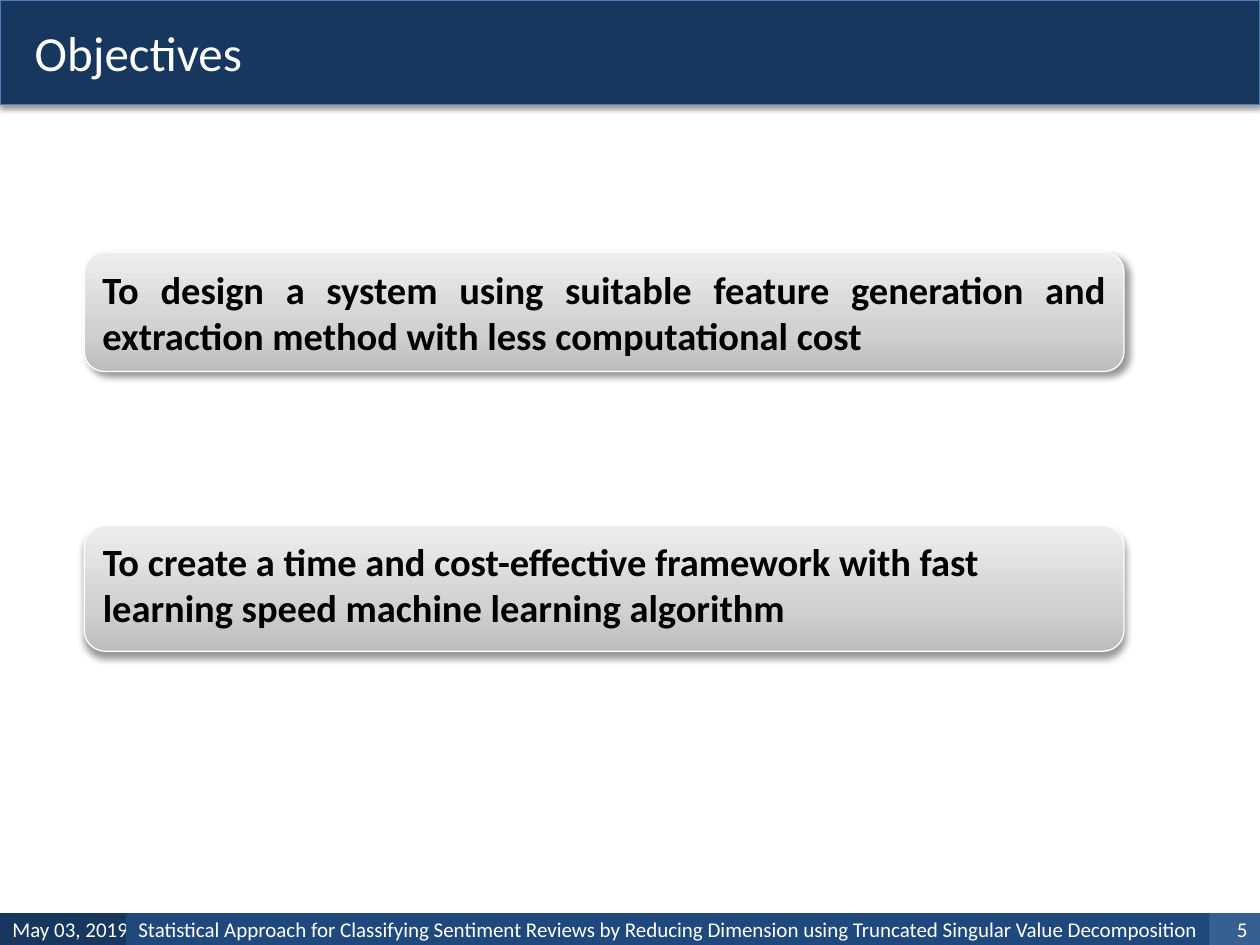
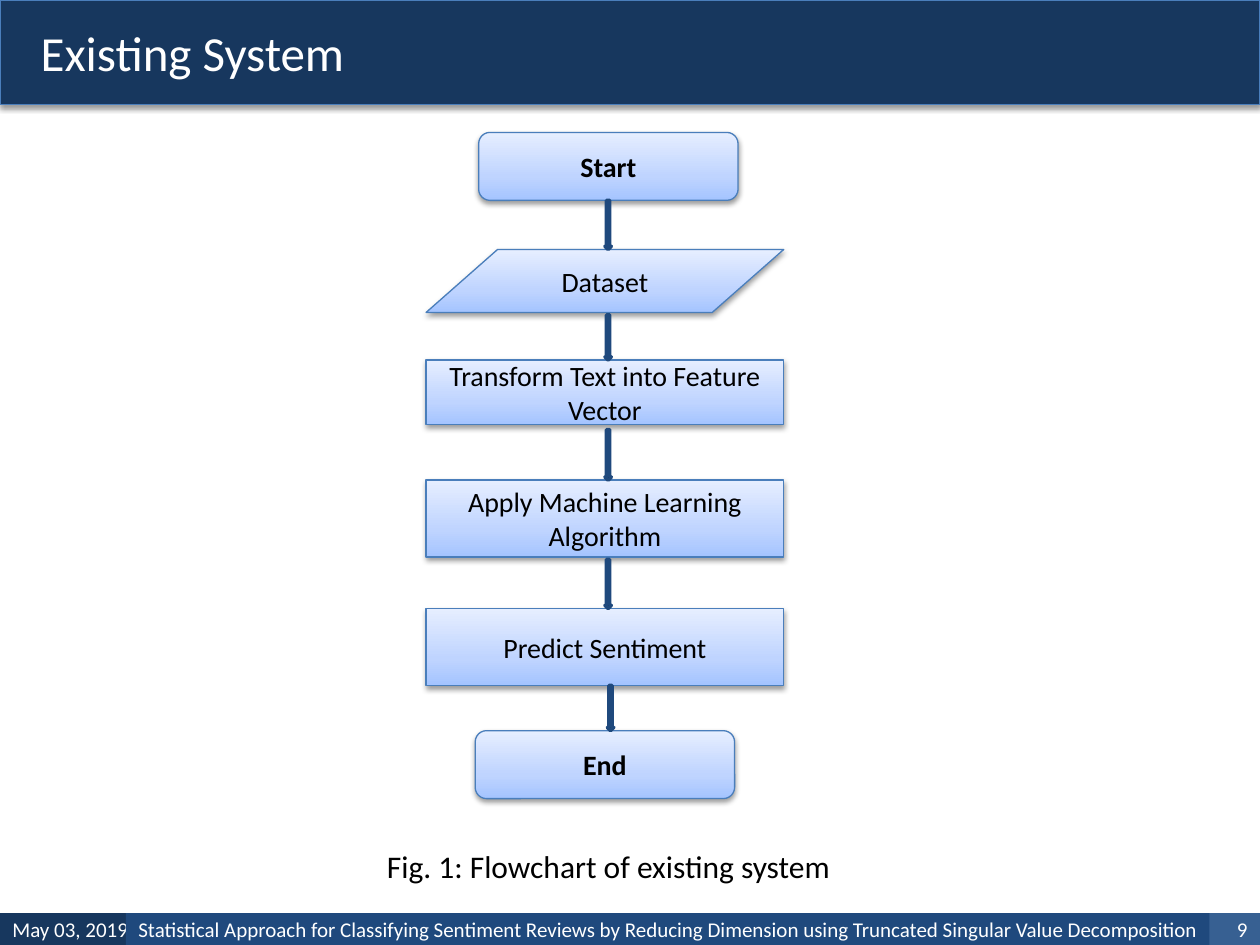
from copy import deepcopy

from lxml import etree
from pptx import Presentation
from pptx.dml.color import RGBColor
from pptx.enum.shapes import MSO_SHAPE
from pptx.enum.text import MSO_ANCHOR, MSO_AUTO_SIZE, PP_ALIGN
from pptx.oxml.ns import qn
from pptx.util import Cm, Pt

RECT, ROUND = MSO_SHAPE.RECTANGLE, MSO_SHAPE.ROUNDED_RECTANGLE
DATA, ARROW = MSO_SHAPE.FLOWCHART_DATA, MSO_SHAPE.DOWN_ARROW
TOP, MIDDLE = MSO_ANCHOR.TOP, MSO_ANCHOR.MIDDLE
LEFT, CENTER, RIGHT, JUSTIFY = (PP_ALIGN.LEFT, PP_ALIGN.CENTER,
                                PP_ALIGN.RIGHT, PP_ALIGN.JUSTIFY)
TITLE_ONLY = 5

COLORS = {"navy": "17375E", "blue": "1F497D", "steel": "376092",
          "edge": "4A7EBB", "white": "FFFFFF", "black": "000000"}
GRAY_STOPS = ((0, "BDBDBD"), (0.35, "D1D1D1"), (1, "EEEEEE"))
BLUE_STOPS = ((0, "A4C4FF"), (0.35, "BFD4FF"), (1, "E6EEFF"))

# Shadows: opacity %, blur pt, distance pt, direction in degrees
SOFT = (38, 3.1, 1.6, 90)
DEEP_DIAGONAL = (40, 4, 3, 45)
DEEP_DOWN = (40, 4, 3, 90)

FRAME = {"word_wrap": True, "auto_size": MSO_AUTO_SIZE.NONE,
         "vertical_anchor": MIDDLE, "margin_left": Cm(0.25),
         "margin_right": Cm(0.25), "margin_top": Cm(0.13),
         "margin_bottom": Cm(0.13)}
FONT = {"name": "Calibri", "bold": False}

SLIDE_W, SLIDE_H = 25.4, 19.05
BAND_H, FOOTER_H = 2.11, 0.64
DATE = "May 03, 2019"
TOPIC = ("Statistical Approach for Classifying Sentiment Reviews by Reducing "
         "Dimension using Truncated Singular Value Decomposition")


def rgb(name):
    return RGBColor.from_string(COLORS[name])


def place(sp, left, top, width, height):
    box = {"left": left, "top": top, "width": width, "height": height}
    for key, value in box.items():
        setattr(sp, key, Cm(value))


def write(sp, text, size, color="black", align=LEFT, bold=False, **frame):
    tf = sp.text_frame
    for key, value in {**FRAME, **frame}.items():
        setattr(tf, key, value)
    p = tf.paragraphs[0]
    p.alignment = align
    r = p.add_run()
    r.text = text
    for key, value in {**FONT, "size": Pt(size), "bold": bold}.items():
        setattr(r.font, key, value)
    r.font.color.rgb = rgb(color)


def paint(sp, fill, line=None, weight=0.75, shadow=None):
    """Fill is a colour name or gradient stops running from bottom to top."""
    if isinstance(fill, str):
        sp.fill.solid()
        sp.fill.fore_color.rgb = rgb(fill)
    else:
        sp.fill.gradient()
        sp.fill.gradient_angle = 90
        gs = sp._element.spPr.find(".//" + qn("a:gs"))
        gs.addnext(deepcopy(gs))
        for stop, (position, color) in zip(sp.fill.gradient_stops, fill):
            stop.position = position
            stop.color.rgb = RGBColor.from_string(color)
    if line:
        sp.line.color.rgb = rgb(line)
        sp.line.width = Pt(weight)
    else:
        sp.line.fill.background()
    sp.shadow.inherit = False
    if shadow:
        add_shadow(sp, *shadow)


def add_shadow(sp, opacity, blur, distance, direction):
    effects = sp._element.spPr.find(qn("a:effectLst"))
    outer = etree.SubElement(
        effects, qn("a:outerShdw"), blurRad=str(Pt(blur)),
        dist=str(Pt(distance)), dir=str(direction * 60000), rotWithShape="0")
    color = etree.SubElement(outer, qn("a:srgbClr"), val=COLORS["black"])
    etree.SubElement(color, qn("a:alpha"), val=str(opacity * 1000))


def add_shape(slide, kind, box, **style):
    sp = slide.shapes.add_shape(kind, *(Cm(v) for v in box))
    paint(sp, **style)
    return sp


def title_band(slide, text, indent):
    sp = slide.shapes.title
    place(sp, 0, 0, SLIDE_W, BAND_H)
    paint(sp, "navy", "edge", shadow=SOFT)
    write(sp, text, 28, "white", margin_left=Cm(indent))


def footer(slide, number):
    # Cells overlap slightly: left, width, colour, text, alignment
    cells = ((0, 3.05, "navy", DATE, LEFT),
             (2.54, 22.1, "blue", TOPIC, JUSTIFY),
             (24.38, 1.02, "steel", str(number), RIGHT))
    for left, width, fill, text, align in cells:
        box = (left, SLIDE_H - FOOTER_H, width, FOOTER_H)
        write(add_shape(slide, RECT, box, fill=fill), text, 12, "white", align)


def objective_cards(slide, left, top, width):
    # Offset from top, height, shadow, alignment, anchor, text
    cards = ((0, 2.41, DEEP_DIAGONAL, JUSTIFY, MIDDLE,
              "To design a system using suitable feature generation and "
              "extraction method with less computational cost"),
             (5.51, 2.54, DEEP_DOWN, LEFT, TOP,
              "To create a time and cost-effective framework with fast "
              "learning speed machine learning algorithm"))
    for dy, height, shadow, align, anchor, text in cards:
        sp = add_shape(slide, ROUND, (left, top + dy, width, height),
                       fill=GRAY_STOPS, line="white", shadow=shadow)
        write(sp, text, 22, align=align, bold=True, vertical_anchor=anchor)


def flowchart(slide, left, top, width):
    end_w, arrow_w = 5.23, 0.13
    # Shape, text, x offset, y offset, width, height
    steps = ((ROUND, "Start", 1.06, 0, end_w, 1.37),
             (DATA, "Dataset", 0, 2.36, width, 1.27),
             (RECT, "Transform Text into Feature Vector", 0, 4.59, width, 1.3),
             (RECT, "Apply Machine Learning Algorithm", 0, 7.01, width, 1.55),
             (RECT, "Predict Sentiment", 0, 9.6, width, 1.55),
             (ROUND, "End", 0.99, 12.06, end_w, 1.37))
    for kind, text, dx, dy, w, h in steps:
        sp = add_shape(slide, kind, (left + dx, top + dy, w, h),
                       fill=BLUE_STOPS, line="edge", shadow=SOFT)
        write(sp, text, 16, align=CENTER, bold=kind == ROUND)

    # Arrows run from just under each step to the top of the next
    gaps = (0, 0.05, 0.1, 0.05, 0)
    shifts = (0, 0, 0, 0, 0.05)
    for step, following, gap, shift in zip(steps, steps[1:], gaps, shifts):
        start = step[3] + step[5] + gap
        box = (left + width / 2 + shift, top + start,
               arrow_w, following[3] - start)
        add_shape(slide, ARROW, box, fill="black", line="blue", weight=2)


def caption(slide, left, top, width, height, text):
    sp = slide.shapes.add_textbox(*(Cm(v) for v in (left, top, width, height)))
    write(sp, text, 18, vertical_anchor=TOP, margin_left=Cm(0.81))


prs = Presentation()
prs.slide_width, prs.slide_height = Cm(SLIDE_W), Cm(SLIDE_H)
layout = prs.slide_layouts[TITLE_ONLY]

# Objectives
slide = prs.slides.add_slide(layout)
title_band(slide, "Objectives", 0.7)
objective_cards(slide, 1.7, 5.08, 20.96)
footer(slide, 5)

# Existing system
slide = prs.slides.add_slide(layout)
title_band(slide, "Existing System", 0.82)
flowchart(slide, 8.59, 2.67, 7.21)
caption(slide, 6.99, 16.94, 12.7, 1.02, "Fig. 1: Flowchart of existing system")
footer(slide, 9)

prs.save("out.pptx")
